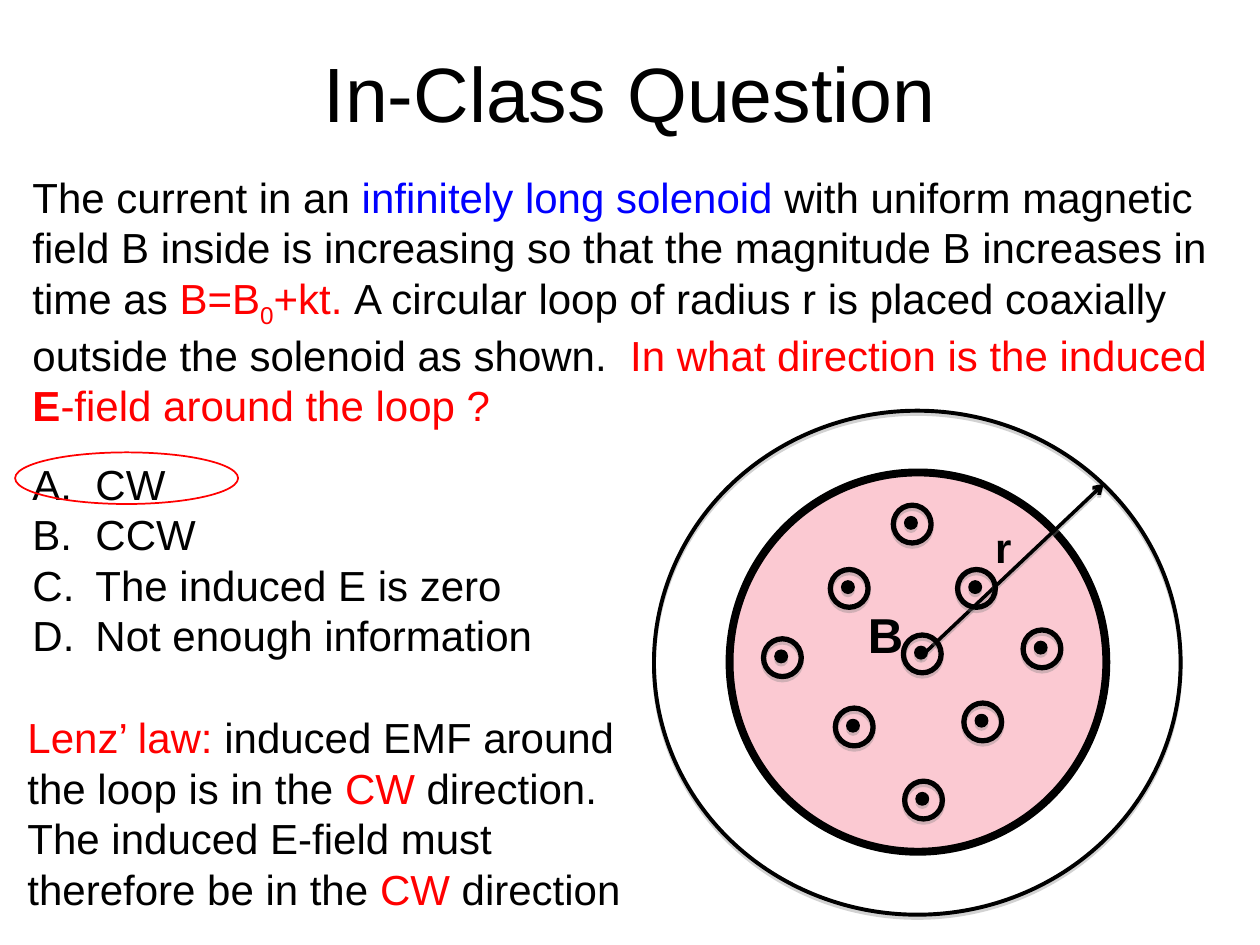
from dataclasses import dataclass

from lxml import etree
from pptx import Presentation
from pptx.dml.color import RGBColor
from pptx.enum import shapes, text
from pptx.oxml.ns import qn
from pptx.util import Inches, Pt


@dataclass(frozen=True)
class Theme:
    font: str = "Arial"
    ink: str = "000000"
    blue: str = "0000FF"
    red: str = "FF0000"
    pink: str = "FBC9D2"
    shadow: str = "808080"
    title: int = 44
    label: int = 28
    body: int = 24


class Slide:
    def __init__(self, page, theme):
        self.page = page
        self.theme = theme

    def text(self, at, paragraphs, size=None, bold=False, inset=(0.1, 0.05),
             align=text.PP_ALIGN.LEFT, lettered=False):
        """Each paragraph is a list of spans: (words, colour, optional style)."""
        box = self.page.shapes.add_textbox(*map(Inches, at))
        frame = box.text_frame
        frame.word_wrap = True
        frame.margin_left = frame.margin_right = Inches(inset[0])
        frame.margin_top = frame.margin_bottom = Inches(inset[1])
        for index, spans in enumerate(paragraphs):
            para = frame.add_paragraph() if index else frame.paragraphs[0]
            para.alignment = align
            if lettered:
                self.letter(para)
            for words, colour, *style in spans:
                span = para.add_run()
                span.text = words
                span.font.name = self.theme.font
                span.font.size = Pt(size or self.theme.body)
                span.font.bold = bold or "bold" in style
                span.font.color.rgb = RGBColor.from_string(colour)
                if "subscript" in style:
                    span.font._element.set("baseline", "-25000")

    def letter(self, para):
        """Number the paragraph A., B., C. with a hanging indent."""
        props = para._p.get_or_add_pPr()
        props.set("marL", str(Inches(0.5)))
        props.set("indent", str(-Inches(0.5)))
        font = etree.SubElement(props, qn("a:buFont"))
        font.set("typeface", self.theme.font)
        etree.SubElement(props, qn("a:buAutoNum")).set("type", "alphaUcPeriod")

    def drop_shadow(self, shape, distance=1.8, opacity=35):
        props = shape._element.spPr
        for old in props.findall(qn("a:effectLst")):
            props.remove(old)
        effects = etree.SubElement(props, qn("a:effectLst"))
        outer = etree.SubElement(effects, qn("a:outerShdw"), blurRad="0",
                                 dist=str(int(Pt(distance))), dir="5400000",
                                 rotWithShape="0")
        colour = etree.SubElement(outer, qn("a:srgbClr"), val=self.theme.shadow)
        etree.SubElement(colour, qn("a:alpha"), val=str(opacity * 1000))

    def circle(self, at, width, fill=None, line=None, shadow=False, parent=None):
        owner = parent or self.page
        shape = owner.shapes.add_shape(shapes.MSO_SHAPE.OVAL, *map(Inches, at))
        shape.shadow.inherit = False
        if fill:
            shape.fill.solid()
            shape.fill.fore_color.rgb = RGBColor.from_string(fill)
        else:
            shape.fill.background()
        shape.line.color.rgb = RGBColor.from_string(line or self.theme.ink)
        shape.line.width = Pt(width)
        if shadow:
            self.drop_shadow(shape)

    def field_out(self, left, top):
        """Dot in a ring: a field line coming out of the page."""
        group = self.page.shapes.add_group_shape()
        self.circle((left, top, 0.3, 0.3), 3, shadow=True, parent=group)
        self.circle((left + 0.09, top + 0.09, 0.1, 0.1), 0.75,
                    fill=self.theme.ink, shadow=True, parent=group)

    def arrow(self, start, end, width):
        line = self.page.shapes.add_connector(
            shapes.MSO_CONNECTOR.STRAIGHT, *map(Inches, start + end))
        line.line.color.rgb = RGBColor.from_string(self.theme.ink)
        line.line.width = Pt(width)
        etree.SubElement(line.line._get_or_add_ln(), qn("a:tailEnd"), type="arrow")
        self.drop_shadow(line, distance=1.6, opacity=38)


def main():
    deck = Presentation()
    deck.slide_width, deck.slide_height = Inches(10), Inches(7.5)
    theme = Theme()
    slide = Slide(deck.slides.add_slide(deck.slide_layouts[6]), theme)
    ink, red = theme.ink, theme.red

    slide.text((0.16, 1.31, 9.67, 2.57), [[
        ("The current in an ", ink),
        ("infinitely long solenoid ", theme.blue),
        ("with uniform magnetic field B inside is increasing so that the "
         "magnitude B increases in time as ", ink),
        ("B=B", red),
        ("0", red, "subscript"),
        ("+kt. ", red),
        ("A circular loop of radius r is placed coaxially outside the "
         "solenoid as shown.  ", ink),
        ("In what direction is the induced ", red),
        ("E", red, "bold"),
        ("-field around the loop ?", red),
    ]])
    answers = ["CW", "CCW", "The induced E is zero", "Not enough information"]
    slide.text((0.16, 3.59, 4.57, 1.72),
               [[(answer, ink)] for answer in answers], lettered=True)

    # Solenoid, loop and radius
    slide.circle((5.79, 3.75, 2.99, 3.01), 4.5, fill=theme.pink)
    slide.text((6.79, 4.75, 0.4, 1.04), [[("B", ink)]], theme.label, bold=True)
    slide.circle((5.19, 3.26, 4.18, 4), 2.25, shadow=True)
    slide.arrow((7.3, 5.22), (8.76, 3.84), 2)
    slide.text((7.8, 4.09, 0.41, 0.51), [[("r", ink)]], bold=True)
    field_points = [(7.09, 4.01), (6.59, 4.52), (7.6, 4.52),
                    (6.06, 5.07), (7.17, 5.04), (8.12, 5),
                    (6.63, 5.62), (7.65, 5.58), (7.18, 6.2)]
    for left, top in field_points:
        slide.field_out(left, top)

    slide.text((0, 0.29, 10, 0.88), [[("In-Class Question", ink)]], theme.title,
               inset=(0.14, 0.07), align=text.PP_ALIGN.CENTER)
    slide.text((0.12, 5.6, 5, 1.72), [[
        ("Lenz’ law: ", red),
        ("induced EMF around the loop is in the ", ink),
        ("CW ", red),
        ("direction. The induced E-field must therefore be in the ", ink),
        ("CW", red),
        (" direction", ink),
    ]])
    slide.circle((0.12, 3.59, 1.77, 0.41), 1, line=red)

    deck.save("out.pptx")


if __name__ == "__main__":
    main()
